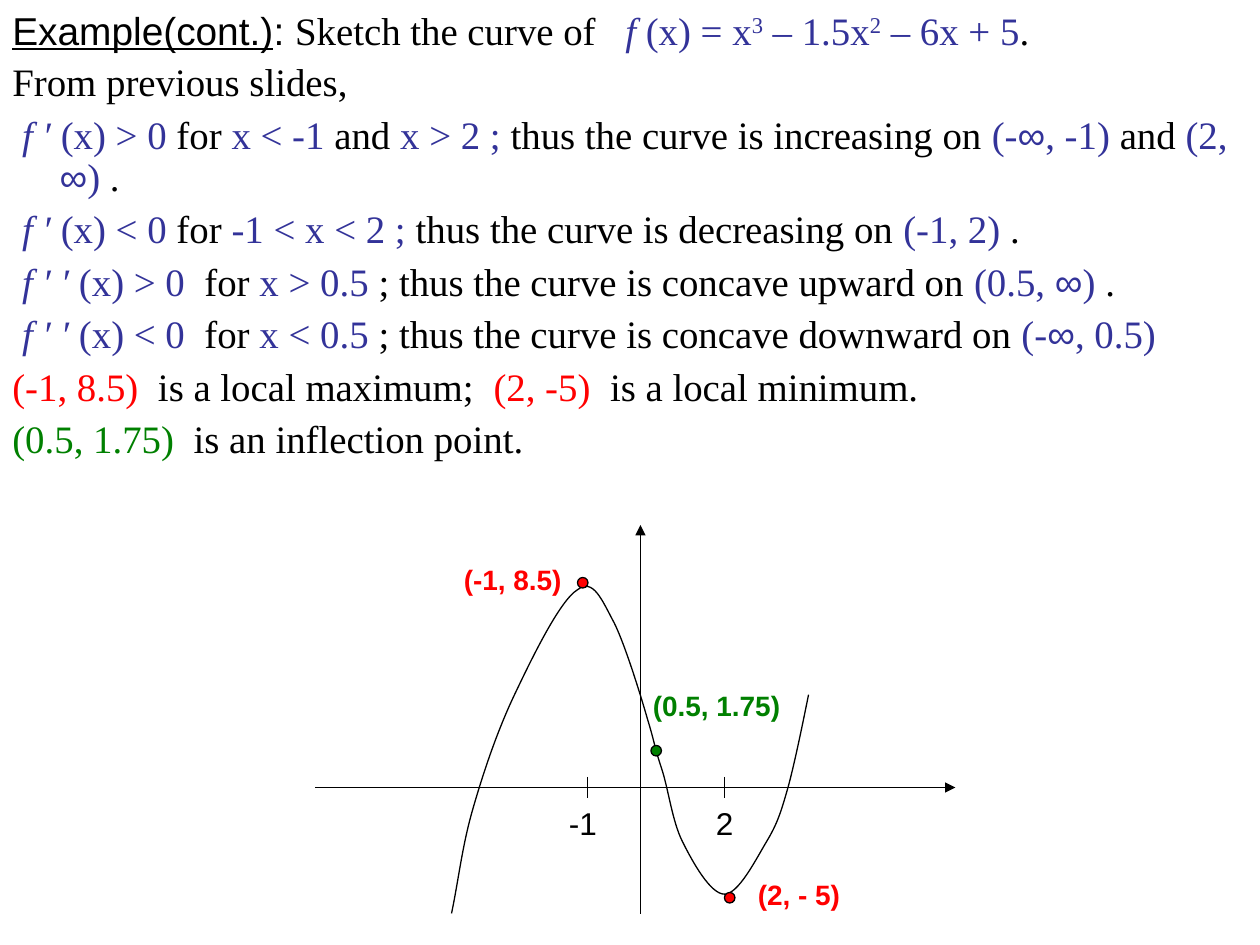
from lxml import etree
from pptx import Presentation
from pptx.dml.color import RGBColor
from pptx.enum import shapes, text
from pptx.oxml import ns
from pptx.util import Pt

BLACK, BLUE, RED, GREEN = "000000", "333399", "FF0000", "008000"
SERIF, SANS = "Times New Roman", "Arial"


def color(value):
    return RGBColor.from_string(value)


def add_text(paragraph, words, size, face, shade):
    run = paragraph.add_run()
    run.text = words
    run.font.size = Pt(size)
    run.font.name = face
    run.font.color.rgb = color(shade)
    return run


prs = Presentation()
prs.slide_width, prs.slide_height = Pt(720), Pt(540)
slide = prs.slides.add_slide(prs.slide_layouts[6])

# Statement and findings: k black, b blue, i blue italic, r red, g green,
# u underlined heading, h heading, s superscript, n blue infinity sign
styles = {"k": (SERIF, BLACK), "b": (SERIF, BLUE), "i": (SERIF, BLUE),
          "r": (SERIF, RED), "g": (SERIF, GREEN), "u": (SANS, BLACK),
          "h": (SANS, BLACK), "s": (SERIF, BLUE), "n": (SANS, BLUE)}
findings = [
    [("u", "Example(cont.)"), ("h", ": "), ("k", "Sketch the curve of   "),
     ("i", "f "), ("b", "(x) = x"), ("s", "3"), ("b", " – 1.5x"), ("s", "2"),
     ("b", " – 6x + 5"), ("k", ".")],
    [("k", "From previous slides,")],
    [("i", " f ′ "), ("b", "(x) > 0"), ("k", " for "), ("b", "x < -1"),
     ("k", " and "), ("b", "x > 2 ; "),
     ("k", "thus the curve is increasing on "), ("b", "(-"), ("n", "∞"),
     ("b", ", -1)"), ("k", " and "), ("b", "(2, "), ("n", "∞"), ("b", ")"),
     ("k", " .")],
    [("i", " f ′ "), ("b", "(x) < 0"), ("k", " for "), ("b", "-1 < x < 2 ; "),
     ("k", "thus the curve is decreasing on "), ("b", "(-1, 2)"), ("k", " .")],
    [("i", " f ′ ′ "), ("b", "(x) > 0"), ("k", "  for "), ("b", "x > 0.5 "),
     ("k", "; thus the curve is concave upward on"), ("b", " (0.5, "),
     ("n", "∞"), ("b", ") "), ("k", ".")],
    [("i", " f ′ ′ "), ("b", "(x) < 0"), ("k", "  for "), ("b", "x < 0.5 "),
     ("k", "; thus the curve is concave downward on"), ("b", " (-"),
     ("n", "∞"), ("b", ", 0.5)")],
    [("r", "(-1, 8.5)  "), ("k", "is a local maximum;  "),
     ("r", "(2, -5)  "), ("k", "is a local minimum.")],
    [("g", "(0.5, 1.75)  "), ("k", "is an inflection point.")],
]
statement = slide.shapes.add_textbox(0, 0, Pt(720), Pt(312)).text_frame
statement.word_wrap = True
for number, parts in enumerate(findings):
    line = statement.add_paragraph() if number else statement.paragraphs[0]
    if number:
        line.space_before = Pt(6)
        line.line_spacing = 0.9
    indent = line._p.get_or_add_pPr()
    indent.set("marL", str(Pt(27)))
    indent.set("indent", str(Pt(-27)))
    for style, words in parts:
        font = add_text(line, words, 22.2, *styles[style]).font
        if style == "i":
            font.italic = True
        elif style == "u":
            font.underline = True
        elif style == "s":
            font._element.set("baseline", "30000")

# Axes with arrowheads, then the tick marks
axis_y = 450
strokes = [(180, axis_y, 546, axis_y, True), (366, 522, 366, 300, True)]
strokes += [(x, axis_y - 6, x, axis_y + 6, False) for x in (335.9, 414)]
for x1, y1, x2, y2, is_axis in strokes:
    stroke = slide.shapes.add_connector(
        shapes.MSO_CONNECTOR.STRAIGHT, Pt(x1), Pt(y1), Pt(x2), Pt(y2))
    stroke.line.color.rgb = color(BLACK)
    stroke.line.width = Pt(0.75)
    if is_axis:
        etree.SubElement(stroke.line._get_or_add_ln(),
                         ns.qn("a:tailEnd"), type="triangle")
    etree.SubElement(stroke._element.spPr, ns.qn("a:effectLst"))

# Cubic curve: start point, then two control points and an end per segment
start = (258, 522.5)
segments = [
    ((261.5, 503), (264, 484), (270, 463)),
    ((276, 442), (284, 418), (294, 397)),
    ((304, 376), (320.5, 343.5), (330, 337)),
    ((339, 330), (344, 343.5), (351, 356)),
    ((357, 368), (366, 397), (370, 410.5)),
    ((374.5, 424), (374.5, 427), (378, 439)),
    ((381.5, 451), (384, 469), (390, 481)),
    ((396, 493), (406, 511), (414, 511)),
    ((422, 511), (432, 491), (438, 481)),
    ((444, 471), (446, 465), (450, 451)),
    ((454.5, 437), (460, 407), (462, 397)),
]
outline = slide.shapes.build_freeform(*start, scale=Pt(1))
outline.add_line_segments([segment[-1] for segment in segments], close=False)
curve = outline.convert_to_shape()
curve.shadow.inherit = False
curve.fill.background()
curve.line.color.rgb = color(BLACK)
curve.line.width = Pt(0.75)

# Bend each straight segment into its Bezier, in units of the outline's grid
outline_path = next(curve._element.iter(ns.qn("a:path")))
left, top = curve.left, curve.top
x_scale = int(outline_path.get("w")) / curve.width
y_scale = int(outline_path.get("h")) / curve.height
for straight, segment in zip(outline_path.findall(ns.qn("a:lnTo")), segments):
    bend = etree.Element(ns.qn("a:cubicBezTo"))
    for x, y in segment:
        etree.SubElement(bend, ns.qn("a:pt"),
                         x=str(round((Pt(x) - left) * x_scale)),
                         y=str(round((Pt(y) - top) * y_scale)))
    outline_path.replace(straight, bend)

# Extrema and inflection point
for x, y, shade in [(330, 330, RED), (414, 510, RED), (372, 426, GREEN)]:
    dot = slide.shapes.add_shape(
        shapes.MSO_SHAPE.OVAL, Pt(x), Pt(y), Pt(6), Pt(6))
    dot.shadow.inherit = False
    dot.fill.solid()
    dot.fill.fore_color.rgb = color(shade)
    dot.line.color.rgb = color(BLACK)
    dot.line.width = Pt(0.75)

# Point labels and tick labels
labels = [
    ("(-1, 8.5)", 258, 318, 84, 26.5, 16, RED),
    ("(0.5, 1.75)", 366, 390, 120, 26.5, 16, GREEN),
    ("(2, - 5)", 426, 498, 72, 26.5, 16, RED),
    ("-1", 318, 456, 42, 29, 18, BLACK),
    ("2", 402, 456, 30, 29, 18, BLACK),
]
for words, x, y, width, height, size, shade in labels:
    label = slide.shapes.add_textbox(
        Pt(x), Pt(y), Pt(width), Pt(height)).text_frame
    label.word_wrap = True
    label.auto_size = text.MSO_AUTO_SIZE.SHAPE_TO_FIT_TEXT
    run = add_text(label.paragraphs[0], words, size, SANS, shade)
    run.font.bold = shade != BLACK

prs.save("out.pptx")
